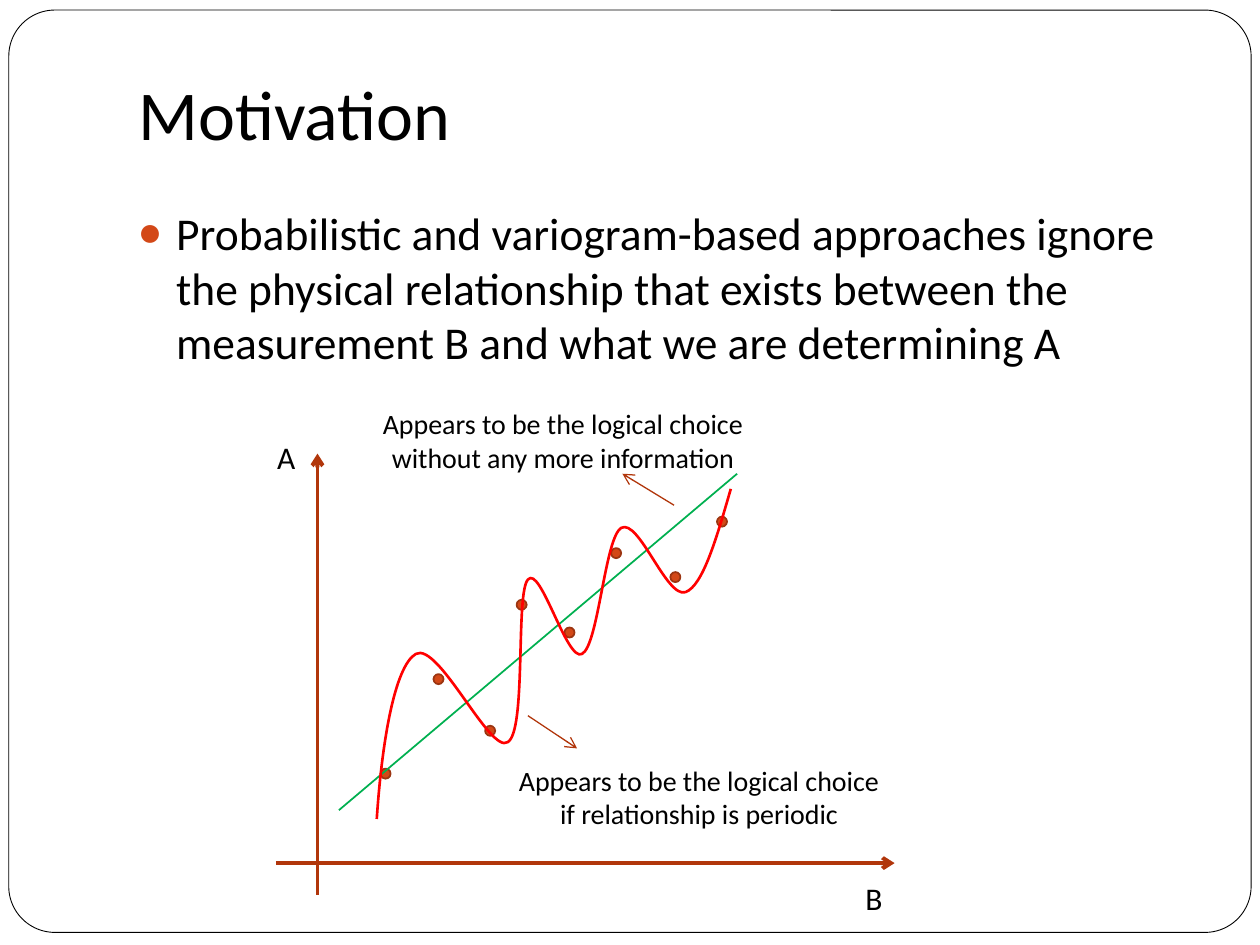
from lxml.etree import SubElement
from pptx import Presentation
from pptx.dml.color import RGBColor
from pptx.enum.shapes import MSO_CONNECTOR, MSO_SHAPE
from pptx.enum.text import MSO_ANCHOR, PP_ALIGN
from pptx.oxml.ns import qn
from pptx.util import Emu, Pt

PX = 9144
BLACK = RGBColor(0x00, 0x00, 0x00)
WHITE = RGBColor(0xFF, 0xFF, 0xFF)
ORANGE = RGBColor(0xD3, 0x48, 0x17)
DARK_ORANGE = RGBColor(0x9C, 0x35, 0x11)
RUST = RGBColor(0xB1, 0x36, 0x0B)
GREEN = RGBColor(0x00, 0xB0, 0x50)
RED = RGBColor(0xFF, 0x00, 0x00)

POINT_SIZE = 8
POINTS = [(302, 610), (344, 535), (385, 576), (410, 476),
          (448, 498), (485, 435), (532, 454), (569, 410)]
WAVE_START = (299, 650)
WAVE_CONTROLS = [
    (303, 590), (313, 529), (330, 519),
    (348, 509), (389, 599), (403, 589),
    (418, 580), (409, 471), (419, 460),
    (429, 448), (450, 526), (462, 519),
    (475, 512), (480, 427), (493, 419),
    (507, 411), (529, 475), (544, 470),
    (558, 465), (569, 426), (580, 388),
]


def px(*lengths):
    return [Emu(length * PX) for length in lengths]


class SlideBuilder:
    font_name = "Calibri"
    text_color = BLACK

    def __init__(self, slide):
        self.slide = slide
        self.shapes = slide.shapes

    def outline(self, shape, color, width):
        shape.line.color.rgb = color
        shape.line.width = Pt(width)

    def preset(self, kind, box, fill, line_color, line_width):
        shape = self.shapes.add_shape(kind, *px(*box))
        shape.shadow.inherit = False
        shape.fill.solid()
        shape.fill.fore_color.rgb = fill
        self.outline(shape, line_color, line_width)
        return shape

    def text(self, box, lines, size, wrap=False, **frame_format):
        frame = self.shapes.add_textbox(*px(*box)).text_frame
        frame.word_wrap = wrap
        for name, value in frame_format.items():
            setattr(frame, name, value)
        font_format = {"name": self.font_name, "size": Pt(size)}
        for index, (line, alignment) in enumerate(lines):
            paragraph = frame.add_paragraph() if index else frame.paragraphs[0]
            paragraph.alignment = alignment
            run = paragraph.add_run()
            run.text = line
            for name, value in font_format.items():
                setattr(run.font, name, value)
            run.font.color.rgb = self.text_color
        return frame

    def bullet(self, paragraph, color, indent):
        properties = paragraph._p.get_or_add_pPr()
        properties.set("marL", str(indent * PX))
        properties.set("indent", str(-indent * PX))
        bullet_color = SubElement(properties, qn("a:buClr"))
        SubElement(bullet_color, qn("a:srgbClr"), val=str(color))
        SubElement(properties, qn("a:buSzPct"), val="85000")
        SubElement(properties, qn("a:buFont"), typeface=self.font_name)
        SubElement(properties, qn("a:buChar"), char="●")

    def line(self, start, end, color, width, arrow=False):
        connector = self.shapes.add_connector(
            MSO_CONNECTOR.STRAIGHT, *px(*start, *end))
        self.outline(connector, color, width)
        if arrow:
            SubElement(connector.line._get_or_add_ln(), qn("a:tailEnd"), type="arrow")
        SubElement(connector._element.spPr, qn("a:effectLst"))

    def curve(self, start, controls, color, width):
        builder = self.shapes.build_freeform(*start, scale=PX)
        builder.add_line_segments(controls, close=False)
        shape = builder.convert_to_shape()
        shape.shadow.inherit = False
        shape.fill.background()
        self.outline(shape, color, width)
        segments = list(shape._element.iter(qn("a:lnTo")))
        for index in range(0, len(segments), 3):
            outline_path = segments[index].getparent()
            bezier = SubElement(outline_path, qn("a:cubicBezTo"))
            for segment in segments[index:index + 3]:
                bezier.append(segment[0])
                outline_path.remove(segment)


def main():
    presentation = Presentation()
    presentation.slide_width, presentation.slide_height = px(1000, 750)
    builder = SlideBuilder(
        presentation.slides.add_slide(presentation.slide_layouts[6]))

    frame = builder.preset(
        MSO_SHAPE.ROUNDED_RECTANGLE, (7, 8, 986, 732), WHITE, BLACK, 0.5)
    frame.adjustments[0] = 0.05

    builder.text((100, 8, 850, 125), [("Motivation", None)], 40, wrap=True,
                 vertical_anchor=MSO_ANCHOR.BOTTOM, margin_bottom=px(10)[0])
    body = builder.text((100, 158, 850, 500), [(
        "Probabilistic and variogram-based approaches ignore the physical "
        "relationship that exists between the measurement B and what we are "
        "determining A", None)], 26, wrap=True)
    builder.bullet(body.paragraphs[0], ORANGE, 30)

    builder.line((252, 710), (252, 360), RUST, 2.25, arrow=True)
    builder.line((219, 685), (710, 685), RUST, 2.25, arrow=True)
    for left, top in POINTS:
        builder.preset(MSO_SHAPE.OVAL, (left, top, POINT_SIZE, POINT_SIZE),
                       ORANGE, DARK_ORANGE, 1)
    for name, left, top in [("A", 210, 343), ("B", 677, 693)]:
        builder.text((left, top, 35, 40), [(name, None)], 18)

    builder.line((269, 643), (585, 376), GREEN, 1)
    builder.curve(WAVE_START, WAVE_CONTROLS, RED, 1.5)
    notes = [
        ((294, 318), "without any more information", (535, 401), (494, 376)),
        ((402, 601), "if relationship is periodic", (419, 568), (458, 594)),
    ]
    for corner, ending, arrow_start, arrow_end in notes:
        builder.text((*corner, 315, 64),
                     [("Appears to be the logical choice", PP_ALIGN.LEFT),
                      (ending, PP_ALIGN.CENTER)], 16)
        builder.line(arrow_start, arrow_end, RUST, 0.75, arrow=True)

    presentation.save("out.pptx")


if __name__ == "__main__":
    main()
